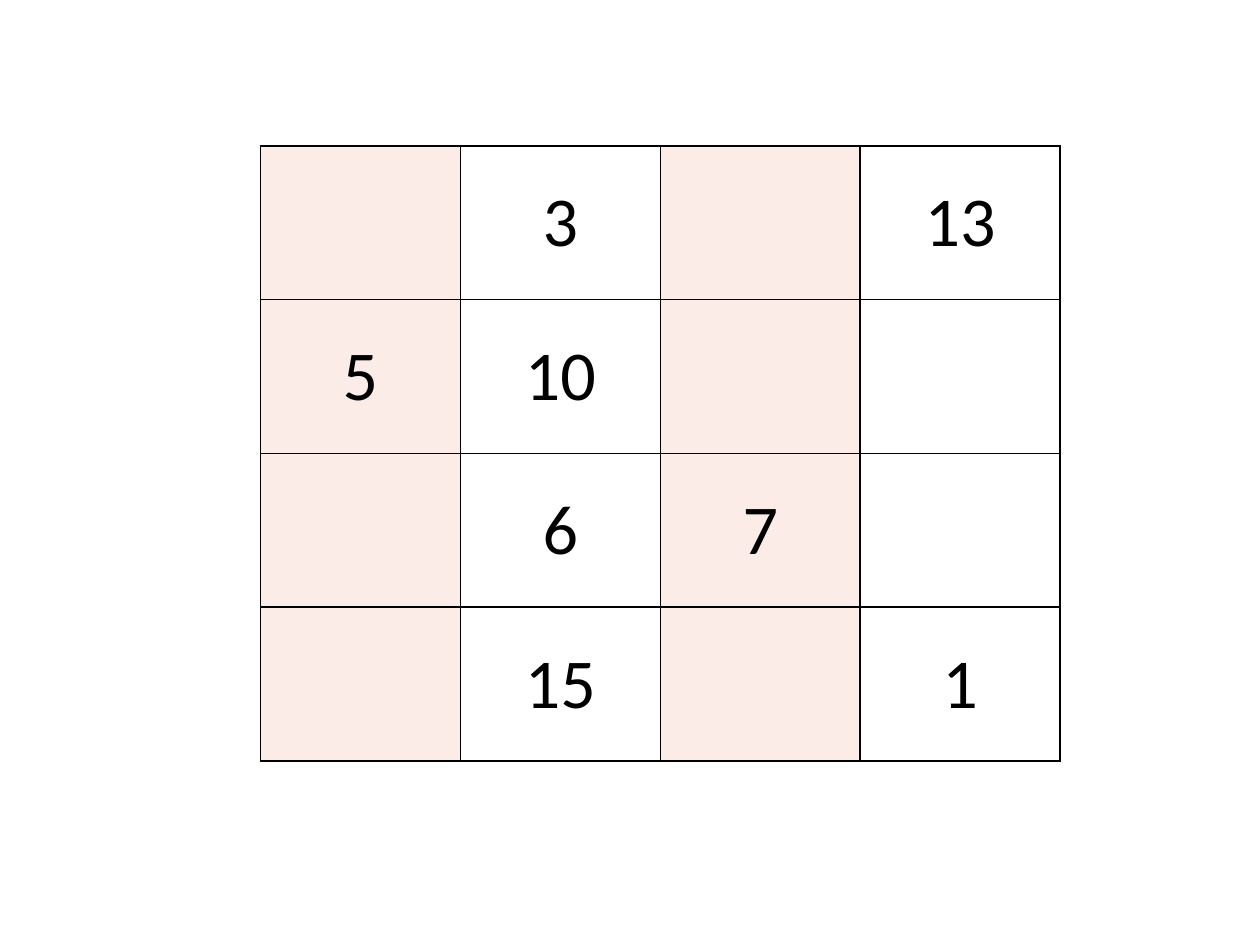
from dataclasses import dataclass

from lxml import etree
from pptx import Presentation
from pptx import util as u
from pptx.dml.color import RGBColor
from pptx.enum import text
from pptx.oxml.ns import qn


@dataclass
class Theme:
    font: str = "Calibri"
    number_size: int = 40
    ink: str = "000000"
    column_fills: tuple = ("FCECE8", "FFFFFF")
    border_pt: float = 1


def add_borders(cell, color, width):
    tcPr = cell._tc.get_or_add_tcPr()
    for i, side in enumerate(("lnL", "lnR", "lnT", "lnB")):
        ln = etree.Element(qn(f"a:{side}"), w=str(u.Pt(width)))
        fill = etree.SubElement(ln, qn("a:solidFill"))
        etree.SubElement(fill, qn("a:srgbClr"), val=color)
        tcPr.insert(i, ln)


theme = Theme()
numbers = [
    ["", "3", "", "13"],
    ["5", "10", "", ""],
    ["", "6", "7", ""],
    ["", "15", "", "1"],
]
col_w, row_h = u.Cm(4.03), u.Cm(3.1)

prs = Presentation()
prs.slide_width, prs.slide_height = u.Cm(25.4), u.Cm(19.05)
s = prs.slides.add_slide(prs.slide_layouts[6])

n_rows, n_cols = len(numbers), len(numbers[0])
table = s.shapes.add_table(n_rows, n_cols, u.Cm(5.25), u.Cm(2.94),
                           col_w * n_cols, row_h * n_rows).table
table.first_row = False
table.horz_banding = False
for col in table.columns:
    col.width = col_w
for row in table.rows:
    row.height = row_h

for i, row in enumerate(numbers):
    for j, number in enumerate(row):
        cell = table.cell(i, j)
        cell.fill.solid()
        cell.fill.fore_color.rgb = RGBColor.from_string(theme.column_fills[j % 2])
        add_borders(cell, theme.ink, theme.border_pt)
        cell.vertical_anchor = text.MSO_ANCHOR.MIDDLE
        p = cell.text_frame.paragraphs[0]
        p.alignment = text.PP_ALIGN.CENTER
        if number:
            r = p.add_run()
            r.text = number
            r.font.name = theme.font
            r.font.size = u.Pt(theme.number_size)
            r.font.color.rgb = RGBColor.from_string(theme.ink)

prs.save("out.pptx")
